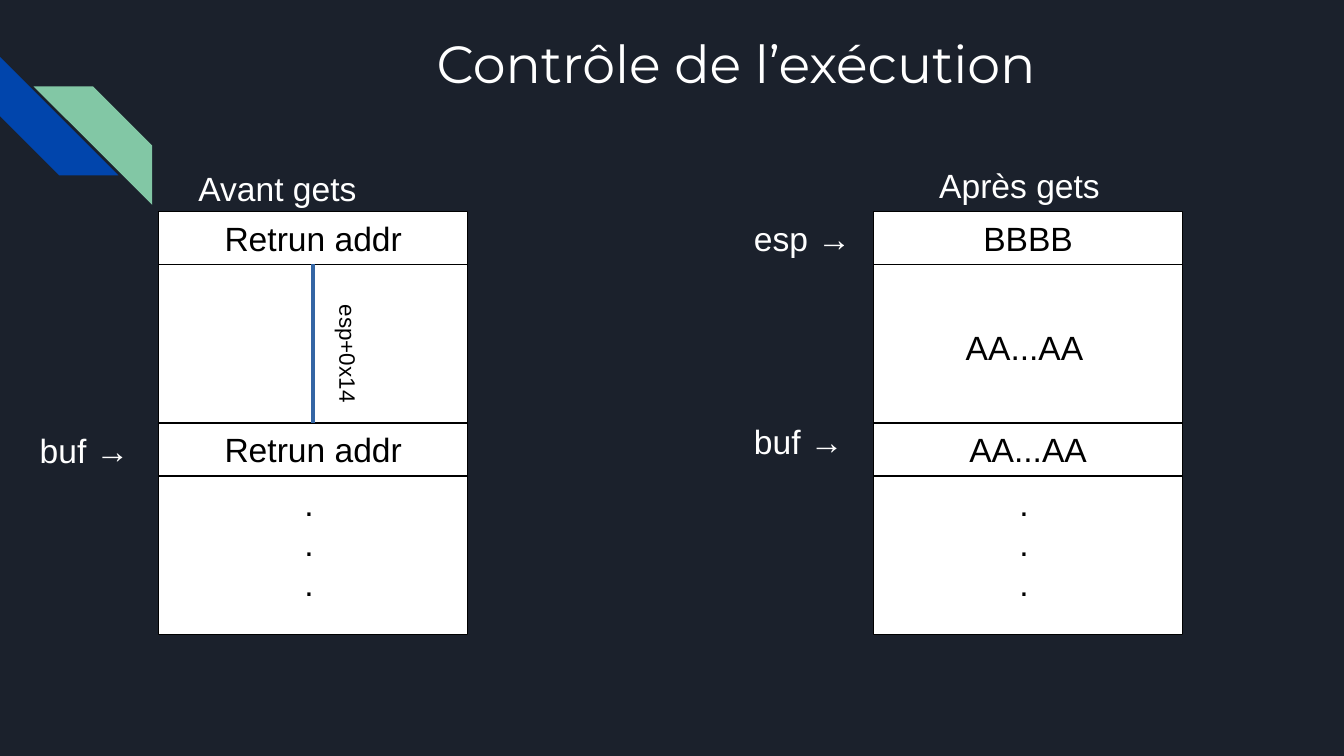
from lxml.etree import SubElement
from pptx import Presentation
from pptx.dml.color import RGBColor
from pptx.enum.shapes import MSO_CONNECTOR as Connector, MSO_SHAPE as Shape
from pptx.enum.text import MSO_ANCHOR as Anchor, PP_ALIGN as Align
from pptx.oxml.ns import qn
from pptx.util import Pt

NIGHT = RGBColor(0x1B, 0x21, 0x2C)
BLUE = RGBColor(0x01, 0x45, 0xAC)
GREEN = RGBColor(0x82, 0xC7, 0xA5)
STEEL = RGBColor(0x34, 0x65, 0xA4)
WHITE = RGBColor(0xFF, 0xFF, 0xFF)
BLACK = RGBColor(0, 0, 0)

STACK_TOP, STACK_WIDTH, STACK_HEIGHT = 113.3, 165.6, 226.8
CELL_HEIGHT = 28.3
BUFFER_TOP = STACK_TOP + STACK_HEIGHT / 2
BEFORE_LEFT, AFTER_LEFT = 85, 468


def write(frame, text, size, color, font="Arial", align=None, spacing=None):
    frame.text = text
    for paragraph in frame.paragraphs:
        paragraph.alignment = align
        paragraph.line_spacing = spacing
        for run in paragraph.runs:
            run.font.size = Pt(size)
            run.font.name = font
            run.font.color.rgb = color


def add_label(slide, text, left, top, width, height, color=WHITE, size=18):
    label = slide.shapes.add_textbox(Pt(left), Pt(top), Pt(width), Pt(height))
    label.text_frame.word_wrap = True
    write(label.text_frame, text, size, color)
    return label


def add_title(slide, text):
    title = slide.shapes.add_textbox(Pt(226.8), Pt(-28.1), Pt(360.7), Pt(90))
    frame = title.text_frame
    frame.word_wrap = True
    frame.vertical_anchor = Anchor.MIDDLE
    frame.margin_top = frame.margin_bottom = Pt(7.2)
    write(frame, text, 28, WHITE, font="Montserrat", spacing=2.0)


def add_stripe(slide, left, top, rotation, color):
    stripe = slide.shapes.add_shape(
        Shape.DIAGONAL_STRIPE, Pt(left), Pt(top), Pt(63.5), Pt(63.5))
    stripe.adjustments[0] = 0.5
    stripe.rotation = rotation
    stripe.shadow.inherit = False
    stripe.fill.solid()
    stripe.fill.fore_color.rgb = color
    stripe.line.fill.background()


def add_block(slide, left, top, height, text=""):
    block = slide.shapes.add_shape(
        Shape.RECTANGLE, Pt(left), Pt(top), Pt(STACK_WIDTH), Pt(height))
    block.shadow.inherit = False
    block.fill.solid()
    block.fill.fore_color.rgb = WHITE
    block.line.color.rgb = BLACK
    block.line.width = Pt(0)
    if text:
        block.text_frame.vertical_anchor = Anchor.MIDDLE
        write(block.text_frame, text, 18, BLACK, align=Align.CENTER)
    return block


def add_stack(slide, left, top_text, buffer_text):
    add_block(slide, left, STACK_TOP, STACK_HEIGHT)
    top_cell = add_block(slide, left, STACK_TOP, CELL_HEIGHT, top_text)
    buffer_cell = add_block(slide, left, BUFFER_TOP, CELL_HEIGHT, buffer_text)
    add_label(slide, ".\n.\n.", left + 71, BUFFER_TOP + CELL_HEIGHT, 99.2, 88, BLACK)
    return top_cell, buffer_cell


def add_span(slide, upper, lower):
    span = slide.shapes.add_connector(Connector.STRAIGHT, 0, 0, 0, 0)
    span.begin_connect(upper, 2)
    span.end_connect(lower, 0)
    span.line.color.rgb = STEEL
    span.line.width = Pt(0)
    SubElement(span._element.spPr, qn("a:effectLst"))


def main():
    deck = Presentation()
    deck.slide_width, deck.slide_height = Pt(720), Pt(405)
    slide = deck.slides.add_slide(deck.slide_layouts[6])
    slide.background.fill.solid()
    slide.background.fill.fore_color.rgb = NIGHT

    add_stripe(slide, 0, 30.4, 270, BLUE)
    add_stripe(slide, 18, 46.3, 90, GREEN)
    add_title(slide, "Contrôle de l’exécution")

    return_cell, buffer_cell = add_stack(
        slide, BEFORE_LEFT, "Retrun addr", "Retrun addr")
    add_span(slide, return_cell, buffer_cell)
    offset = add_label(slide, "esp+0x14", 141.1, 185, 85, 27.4, BLACK, 12)
    offset.rotation = 90
    add_label(slide, "Avant gets", 99.2, 86.4, 155.5, 27.4)
    add_label(slide, "buf →", 14.2, BUFFER_TOP, 70.6, 47.5)

    add_stack(slide, AFTER_LEFT, "BBBB", "AA...AA")
    add_label(slide, "AA...AA", 510.3, 171.4, 127.4, 27.4, BLACK)
    add_label(slide, "Après gets", 496.1, 85, 155.5, 27.4)
    add_label(slide, "esp →", 396.8, STACK_TOP, 70.6, 90)
    add_label(slide, "buf →", 396.8, 221.8, 70.6, 47.5)

    deck.save("out.pptx")


if __name__ == "__main__":
    main()
